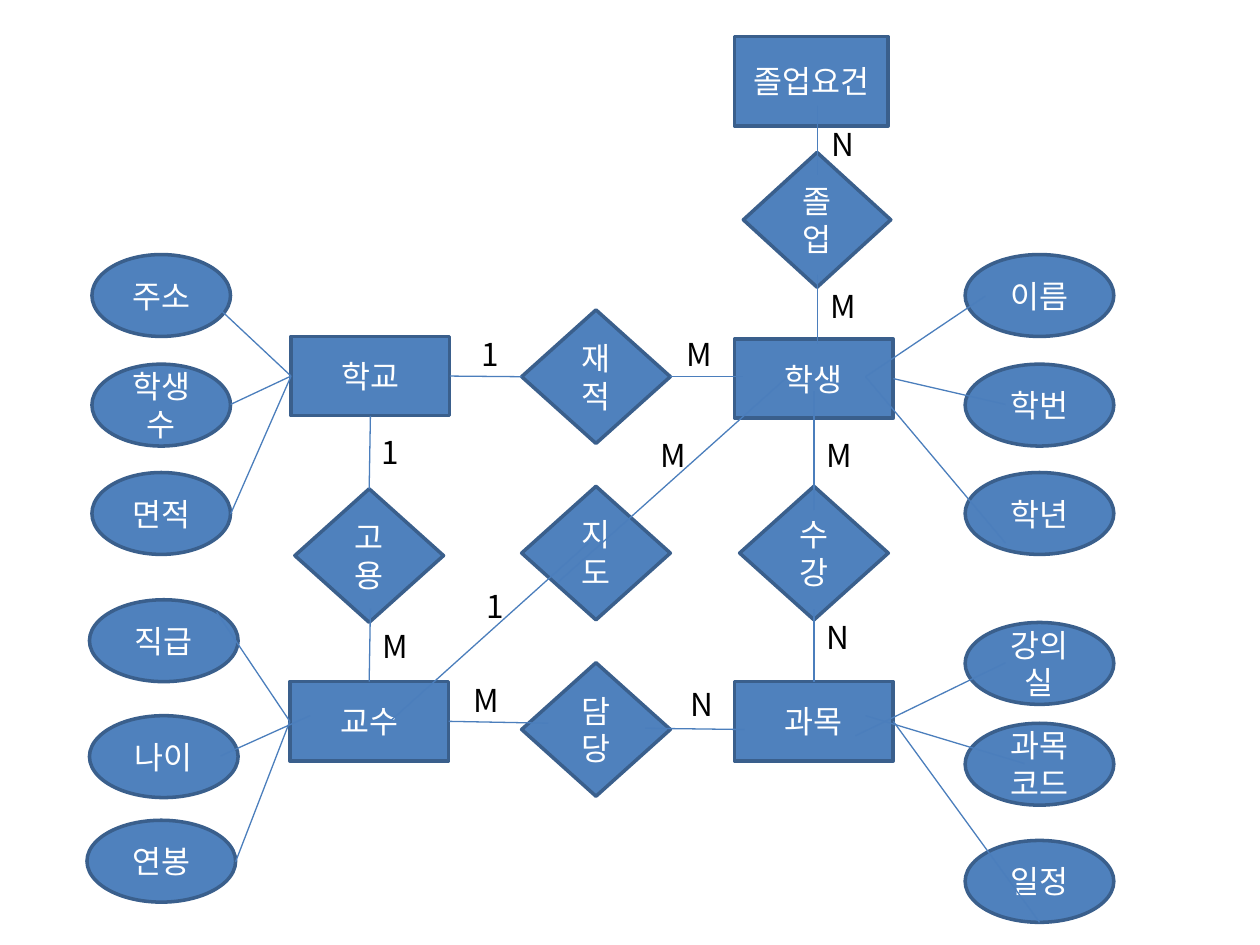
"""Build an entity-relationship diagram of a school database."""
import lxml.etree
import pptx
import pptx.dml.color
import pptx.enum.shapes
import pptx.enum.text
import pptx.oxml.ns
import pptx.util
from pptx.util import Inches

FONT = "Noto Sans CJK KR"
COLORS = {"fill": "4F81BD", "outline": "3A5F8C", "link": "4B7EBC", "node_text": "FFFFFF", "label": "000000"}
TOP, LEFT, BOTTOM, RIGHT = range(4)


def color(name):
    return pptx.dml.color.RGBColor.from_string(COLORS[name])


def write_text(shape, text, color_name, alignment):
    paragraph = shape.text_frame.paragraphs[0]
    paragraph.text = text
    paragraph.alignment = alignment
    paragraph.font.size = pptx.util.Pt(18)
    paragraph.font.name = FONT
    paragraph.font.color.rgb = color(color_name)
    properties = paragraph._p.pPr.find(pptx.oxml.ns.qn("a:defRPr"))
    lxml.etree.SubElement(properties, pptx.oxml.ns.qn("a:ea"), typeface=FONT)


presentation = pptx.Presentation()
presentation.slide_width = Inches(10)
presentation.slide_height = Inches(7.5)
slide = presentation.slides.add_slide(presentation.slide_layouts[6])

kinds = pptx.enum.shapes.MSO_SHAPE
node_groups = [
    (kinds.RECTANGLE, 1.26, 0.63, [
        ("학교", 2.31, 2.67), ("학생", 5.83, 2.69), ("과목", 5.83, 5.41), ("교수", 2.3, 5.41)]),
    (kinds.RECTANGLE, 1.22, 0.71, [("졸업요건", 5.83, 0.29)]),
    (kinds.OVAL, 1.1, 0.65, [("주소", 0.73, 2.02), ("학생수", 0.73, 2.89), ("면적", 0.73, 3.75)]),
    (kinds.OVAL, 1.18, 0.65, [
        ("이름", 7.66, 2.02), ("학번", 7.66, 2.89), ("학년", 7.66, 3.75),
        ("강의실", 7.66, 4.94), ("과목코드", 7.66, 5.74), ("일정", 7.66, 6.67),
        ("직급", 0.71, 4.76), ("나이", 0.71, 5.68), ("연봉", 0.69, 6.51)]),
    (kinds.DIAMOND, 1.18, 1.06, [
        ("재적", 4.14, 2.46), ("고용", 2.34, 3.88), ("수강", 5.87, 3.86),
        ("담당", 4.14, 5.26), ("지도", 4.14, 3.86)]),
    (kinds.DIAMOND, 1.17, 1.07, [("졸업", 5.9, 1.21)]),
]
nodes = {}
for kind, width, height, members in node_groups:
    for name, left, top in members:
        shape = slide.shapes.add_shape(kind, Inches(left), Inches(top), Inches(width), Inches(height))
        shape.shadow.inherit = False
        shape.fill.solid()
        shape.fill.fore_color.rgb = color("fill")
        shape.line.color.rgb = color("outline")
        shape.line.width = pptx.util.Pt(2)
        shape.text_frame.vertical_anchor = pptx.enum.text.MSO_ANCHOR.MIDDLE
        write_text(shape, name, "node_text", pptx.enum.text.PP_ALIGN.CENTER)
        nodes[name] = shape

links = [
    (("학교", RIGHT), ("재적", LEFT)),
    (("재적", RIGHT), (5.9, 2.99)),
    ((1.75, 2.46), ("학교", LEFT)),
    ((1.83, 3.21), ("학교", LEFT)),
    ((1.83, 4.08), ("학교", LEFT)),
    (("고용", TOP), ("학교", BOTTOM)),
    (("교수", TOP), (2.94, 4.83)),
    (("과목", TOP), (6.46, 4.83)),
    ((6.46, 4.05), (6.46, 3.1)),
    (("교수", RIGHT), (4.35, 5.74)),
    ((5.12, 5.78), (5.91, 5.79)),
    ((1.72, 4.86), ("교수", LEFT)),
    ((1.75, 6), (2.46, 5.68)),
    ((1.87, 6.84), ("교수", LEFT)),
    ((6.87, 2.99), (7.82, 2.35)),
    (("학생", RIGHT), (7.98, 3.21)),
    ((6.87, 2.99), (7.98, 4.31)),
    ((6.79, 5.84), (7.98, 5.26)),
    ((6.87, 5.68), (8.13, 6.06)),
    (("과목", RIGHT), (8.25, 7.32)),
    ((3.09, 5.73), (4.67, 4.31)),
    ((6.24, 3), (4.43, 4.62)),
    ((6.49, 0.84), (6.49, 1.39)),
    ((6.49, 2.18), (6.49, 2.73)),
]
for start, end in links:
    points = [(0, 0) if point[0] in nodes else point for point in (start, end)]
    connector = slide.shapes.add_connector(
        pptx.enum.shapes.MSO_CONNECTOR.STRAIGHT, *(Inches(value) for point in points for value in point))
    for (target, site), connect in ((start, connector.begin_connect), (end, connector.end_connect)):
        if target in nodes:
            connect(nodes[target], site)
    connector.line.color.rgb = color("link")
    connector.line.width = pptx.util.Pt(0.75)
    lxml.etree.SubElement(connector._element.spPr, pptx.oxml.ns.qn("a:effectLst"))

label_widths = {"1": 0.34, "M": 0.43, "N": 0.39}
labels = [
    ("1", 3.72, 2.61), ("M", 5.35, 2.61), ("M", 6.46, 3.41), ("N", 6.46, 4.86),
    ("M", 5.14, 3.41), ("1", 3.76, 4.61), ("1", 2.93, 3.39), ("M", 2.94, 4.93),
    ("M", 3.66, 5.36), ("N", 5.38, 5.39), ("M", 6.49, 2.23), ("N", 6.5, 0.94),
]
for text, left, top in labels:
    box = slide.shapes.add_textbox(Inches(left), Inches(top), Inches(label_widths[text]), Inches(0.4))
    box.text_frame.word_wrap = False
    box.text_frame.auto_size = pptx.enum.text.MSO_AUTO_SIZE.SHAPE_TO_FIT_TEXT
    write_text(box, text, "label", pptx.enum.text.PP_ALIGN.LEFT)

presentation.save("out.pptx")
